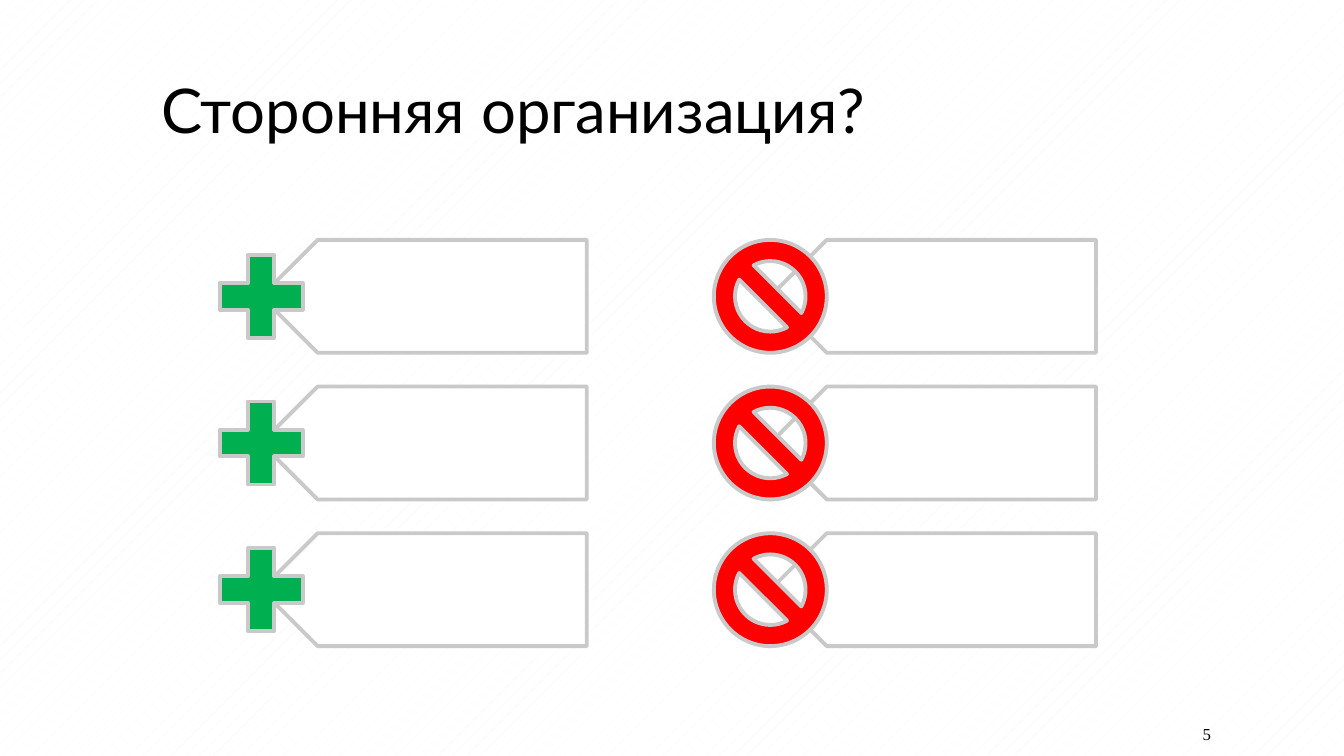
from pptx import Presentation, util as u
from pptx.dml.color import RGBColor
from pptx.enum import dml, shapes, text

PX = 9144
COLORS = {"white": "FFFFFF", "hatch": "F8F8F8", "outline": "C9C9C9",
          "plus": "00B050", "ban": "FF0000", "ink": "000000"}
ROWS = 3
ICON = 112
TAG_INDENT = 56


def px(n):
    """Turn px into EMU."""
    return u.Emu(round(n * PX))


def color(name):
    """Look up a named colour."""
    return RGBColor.from_string(COLORS[name])


def paint_background(s):
    """Give the slide its faint pattern."""
    fill = s.background.fill
    fill.patterned()
    fill.pattern = dml.MSO_PATTERN.PERCENT_5
    fill.fore_color.rgb = color("hatch")
    fill.back_color.rgb = color("white")


def add_text(s, box, words, size, font, align, anchor, spacing=1.0):
    """Place one line of text in the box."""
    tf = s.shapes.add_textbox(*map(px, box)).text_frame
    tf.word_wrap = True
    tf.vertical_anchor = anchor
    p = tf.paragraphs[0]
    p.text = words
    p.alignment = align
    p.line_spacing = spacing
    p.font.size = u.Pt(size)
    p.font.name = font
    p.font.color.rgb = color("ink")


def add_outlined(group, kind, box, fill):
    """Add a filled preset shape with the grey outline."""
    sp = group.shapes.add_shape(kind, *map(px, box))
    sp.shadow.inherit = False
    sp.fill.solid()
    sp.fill.fore_color.rgb = color(fill)
    sp.line.color.rgb = color("outline")
    sp.line.width = u.Pt(2.75)
    return sp


def add_tag_list(s, box, icon, fill):
    """Fill the box with evenly spaced empty tags, each led by an icon."""
    x, y, w, h = box
    pitch = (h - ICON) / (ROWS - 1)
    group = s.shapes.add_group_shape()
    for row in range(ROWS):
        top = y + row * pitch
        tag = add_outlined(group, shapes.MSO_SHAPE.PENTAGON,
                           (x + TAG_INDENT, top, w - TAG_INDENT, ICON), "white")
        tag.rotation = 180
        add_outlined(group, icon, (x, top, ICON, ICON), fill)


def main():
    """Build and save the slide."""
    prs = Presentation()
    prs.slide_width, prs.slide_height = px(1333), px(750)
    s = prs.slides.add_slide(prs.slide_layouts[6])
    paint_background(s)
    add_text(s, (150, 75, 1050, 162), "Сторонняя организация?", 44, "Lato",
             text.PP_ALIGN.LEFT, text.MSO_ANCHOR.TOP, 0.89)
    add_tag_list(s, (203, 238, 379, 403), shapes.MSO_SHAPE.MATH_PLUS, "plus")
    add_text(s, (1036, 706, 175, 44), "5", 12, "Times New Roman",
             text.PP_ALIGN.RIGHT, text.MSO_ANCHOR.MIDDLE)
    add_tag_list(s, (708, 238, 379, 403), shapes.MSO_SHAPE.NO_SYMBOL, "ban")
    prs.save("out.pptx")


if __name__ == "__main__":
    main()
